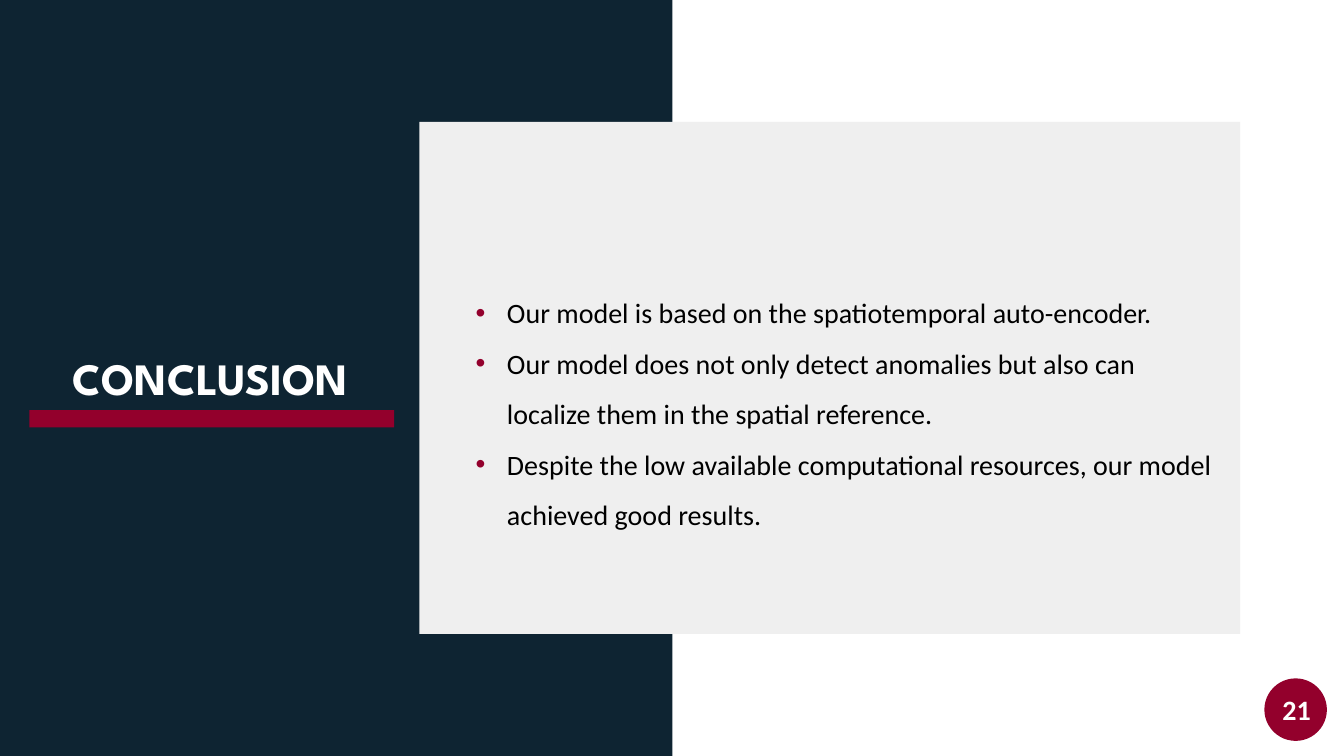
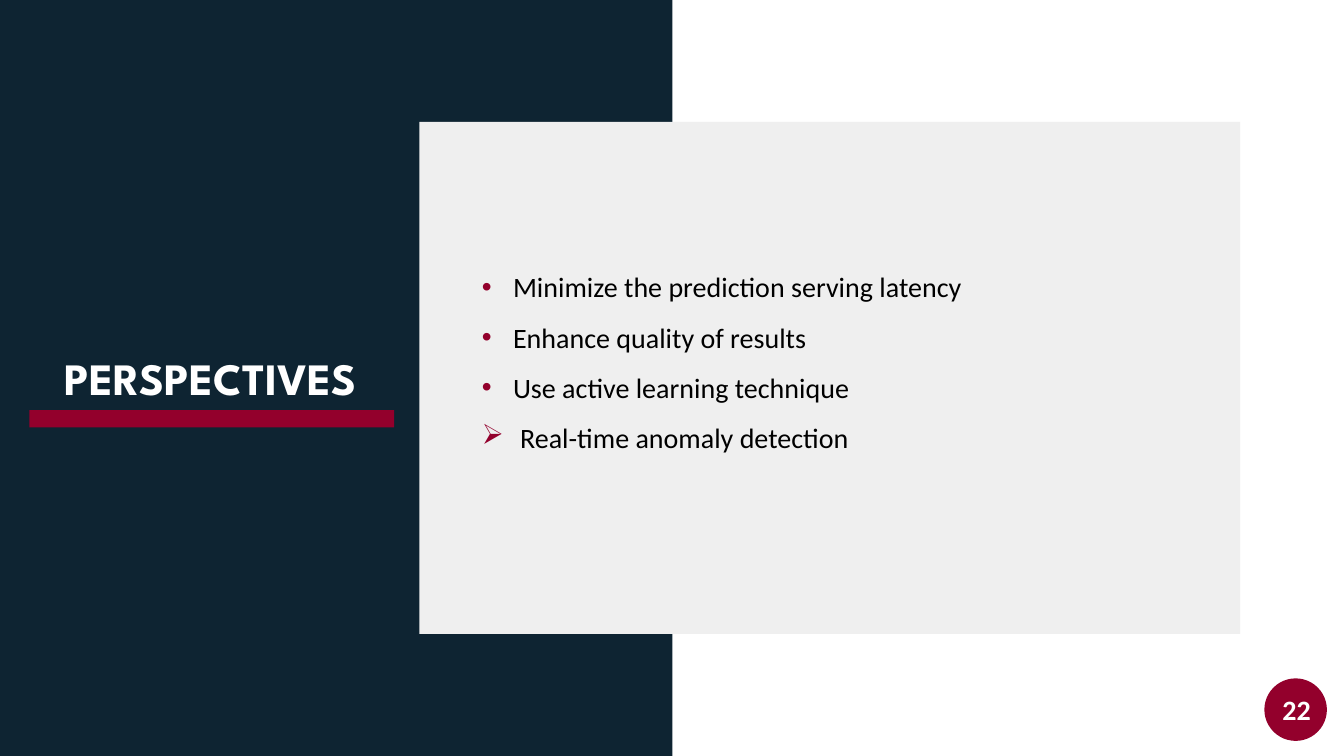
from lxml import etree
from pptx import Presentation
from pptx.dml.color import RGBColor
from pptx.enum.shapes import MSO_SHAPE
from pptx.enum.text import MSO_ANCHOR, PP_ALIGN
from pptx.oxml.ns import qn
from pptx.util import Inches, Pt

RECTANGLE, OVAL = MSO_SHAPE.RECTANGLE, MSO_SHAPE.OVAL
TOP, MIDDLE = MSO_ANCHOR.TOP, MSO_ANCHOR.MIDDLE
LEFT, CENTER, RIGHT = PP_ALIGN.LEFT, PP_ALIGN.CENTER, PP_ALIGN.RIGHT

NAVY = RGBColor(0x0E, 0x24, 0x32)
CRIMSON = RGBColor(0x93, 0x00, 0x2C)
GRAY = RGBColor(0xEF, 0xEF, 0xEF)
WHITE = RGBColor(0xFF, 0xFF, 0xFF)
BLACK = RGBColor(0x00, 0x00, 0x00)

TITLE_FONT = {"name": "League Spartan", "size": Pt(32), "bold": True}
NUMBER_FONT = {"name": "Calibri", "size": Pt(20), "bold": True}
BODY_FONT = {"name": "Calibri", "size": Pt(20), "bold": False}

SLIDE_SIZE = (13.33, 7.5)
FIRST_NUMBER = 21

# Wingdings draws the letter Ø as an arrowhead.
DOT = {"char": "•", "typeface": "Arial", "charset": "0", "indent": 0.31}
ARROW = {"char": "Ø", "typeface": "Wingdings", "charset": "2", "indent": 0.38}

SLIDES = [
    {
        "title": "CONCLUSION",
        "body_area": (4.62, 2.72, 7.52, 2.57),
        "points": [
            (DOT, "Our model is based on the spatiotemporal auto-encoder."),
            (DOT, "Our model does not only detect anomalies but also can "
                  "localize them in the spatial reference."),
            (DOT, "Despite the low available computational resources, "
                  "our model achieved good results."),
        ],
    },
    {
        "title": "PERSPECTIVES",
        "body_area": (4.68, 2.46, 7.52, 2.07),
        "points": [
            (DOT, "Minimize the prediction serving latency"),
            (DOT, "Enhance quality of results"),
            (DOT, "Use active learning technique"),
            (ARROW, "Real-time anomaly detection"),
        ],
    },
]


def add_block(page, preset, area, color):
    block = page.shapes.add_shape(preset, *map(Inches, area))
    block.shadow.inherit = False
    block.fill.solid()
    block.fill.fore_color.rgb = color
    block.line.fill.background()


def add_text_frame(page, area, anchor=TOP):
    frame = page.shapes.add_textbox(*map(Inches, area)).text_frame
    frame.word_wrap = True
    frame.vertical_anchor = anchor
    return frame


def write(para, text, font, color, alignment=LEFT):
    para.alignment = alignment
    span = para.add_run()
    span.text = text
    for name, value in font.items():
        setattr(span.font, name, value)
    span.font.color.rgb = color


def set_bullet(para, bullet):
    """Give the paragraph a crimson bullet with a hanging indent."""
    properties = para._p.get_or_add_pPr()
    indent = Inches(bullet["indent"])
    properties.set("marL", str(indent))
    properties.set("indent", str(-indent))
    bullet_color = etree.SubElement(properties, qn("a:buClr"))
    etree.SubElement(bullet_color, qn("a:srgbClr"), val=str(CRIMSON))
    etree.SubElement(properties, qn("a:buFont"), typeface=bullet["typeface"],
                     charset=bullet["charset"])
    etree.SubElement(properties, qn("a:buChar"), char=bullet["char"])


def add_points(page, area, points):
    frame = add_text_frame(page, area)
    for index, (bullet, text) in enumerate(points):
        para = frame.add_paragraph() if index else frame.paragraphs[0]
        set_bullet(para, bullet)
        para.line_spacing = 1.5
        write(para, text, BODY_FONT, BLACK)


def add_page_number(page, number):
    add_block(page, OVAL, (12.54, 6.73, 0.62, 0.62), CRIMSON)
    frame = add_text_frame(page, (10.1, 6.84, 3, 0.4), MIDDLE)
    write(frame.paragraphs[0], str(number), NUMBER_FONT, WHITE, RIGHT)


def add_title(page, title):
    frame = add_text_frame(page, (0.2, 3.43, 3.78, 0.64))
    write(frame.paragraphs[0], title, TITLE_FONT, WHITE, CENTER)
    add_block(page, RECTANGLE, (0.29, 4.07, 3.62, 0.17), CRIMSON)


def main():
    deck = Presentation()
    deck.slide_width, deck.slide_height = map(Inches, SLIDE_SIZE)
    blank = deck.slide_layouts[6]
    for number, content in enumerate(SLIDES, FIRST_NUMBER):
        page = deck.slides.add_slide(blank)
        add_page_number(page, number)
        add_block(page, RECTANGLE, (0, 0, 6.67, 7.5), NAVY)
        add_block(page, RECTANGLE, (4.16, 1.21, 8.14, 5.08), GRAY)
        add_title(page, content["title"])
        add_points(page, content["body_area"], content["points"])
    deck.save("out.pptx")


if __name__ == "__main__":
    main()
